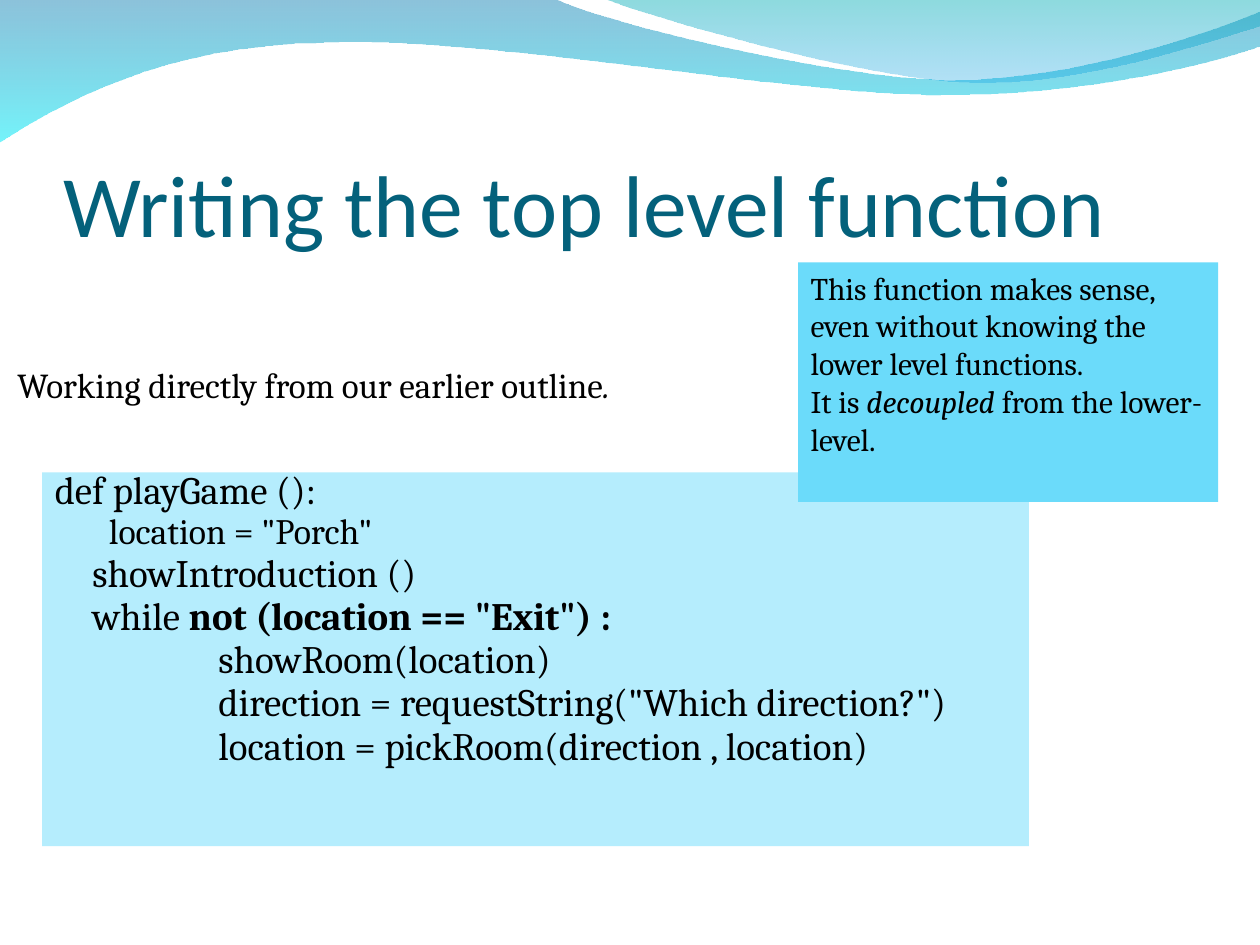
from lxml.etree import SubElement
from pptx import Presentation
from pptx.dml.color import RGBColor
from pptx.enum.shapes import MSO_SHAPE
from pptx.enum.text import MSO_ANCHOR, MSO_AUTO_SIZE, PP_ALIGN
from pptx.oxml.ns import qn
from pptx.util import Cm, Pt

COLORS = {
    "title": "04617B",
    "text": "000000",
    "code": "B5EDFD",
    "callout": "6BDBFA",
    "wave_top": "0079AF",
    "wave_bottom": "00EBF8",
    "crest_top": "00ADB6",
    "crest_bottom": "009BE5",
}
BODY_FONT = "Cambria"

# Wave outlines in cm: a segment is one line end or three Bezier points
WAVE = [
    [(11.18, -0.03)],
    [(12.09, 0.43), (16.87, 1.6), (19.25, 1.6)],
    [(21.67, 1.6), (24.33, 0.66), (25.4, 0.23)],
    [(25.43, 0.91)],
    [(24.97, 1.12), (22.1, 1.93), (18.95, 1.91)],
    [(15.8, 1.91), (9.7, 0.71), (6.53, 0.86)],
    [(3.28, 0.89), (1.17, 2.11), (-0.03, 2.87)],
]
CREST = [
    [(12.93, 0.28), (17.32, 1.57), (19.53, 1.65)],
    [(21.74, 1.75), (24.41, 0.81), (25.4, 0.53)],
    [(25.4, 0)],
]

# Each line of code is a list of (text, bold) runs
CODE_LINES = [
    [("def playGame ():", False)],
    [('location = "Porch"', False)],
    [("\tshowIntroduction ()", False)],
    [("\twhile ", False), ('not (location == "Exit") :', True)],
    [("\t\tshowRoom(location)", False)],
    [('\t\tdirection = requestString("Which direction?")', False)],
    [("\t\tlocation = pickRoom(direction , location)", False)],
]
INDENTED_LINE = 1


def color(name):
    return RGBColor.from_string(COLORS[name])


def place(shape, left, top, width, height):
    shape.left, shape.top = Cm(left), Cm(top)
    shape.width, shape.height = Cm(width), Cm(height)


def format_run(run, size, font=BODY_FONT, fill="text", bold=False, italic=False):
    run.font.name = font
    run.font.size = Pt(size)
    run.font.color.rgb = color(fill)
    run.font.bold = bold
    run.font.italic = italic


def bend_segments(shape, segments):
    """Join the three lines of each Bezier segment into one curve."""
    lines = iter(list(shape.element.spPr.iter(qn("a:lnTo"))))
    for segment in segments:
        first, *others = [next(lines) for point in segment]
        if others:
            first.tag = qn("a:cubicBezTo")
            for line in others:
                first.append(line[0])
                line.getparent().remove(line)


def add_wave(slide, start, segments, stops):
    """Add a curved outline with a vertical gradient of (color, opacity) stops."""
    builder = slide.shapes.build_freeform(Cm(start[0]), Cm(start[1]))
    builder.add_line_segments(
        [(Cm(x), Cm(y)) for segment in segments for x, y in segment], close=True)
    shape = builder.convert_to_shape()
    bend_segments(shape, segments)
    shape.shadow.inherit = False
    shape.line.fill.background()
    shape.fill.gradient()
    shape.fill.gradient_angle = 270
    for stop, (name, opacity) in zip(shape.fill.gradient_stops, stops):
        stop.color.rgb = color(name)
    for element, (name, opacity) in zip(shape.element.spPr.iter(qn("a:srgbClr")), stops):
        SubElement(element, qn("a:alpha"), val=str(opacity * 1000))


def add_title(slide, text):
    title = slide.shapes.title
    place(title, 1.27, 1.96, 22.86, 3.18)
    frame = title.text_frame
    frame.text = text
    frame.auto_size = MSO_AUTO_SIZE.NONE
    frame.vertical_anchor = MSO_ANCHOR.BOTTOM
    frame.margin_left = frame.margin_right = frame.margin_bottom = 0
    frame.paragraphs[0].alignment = PP_ALIGN.LEFT
    format_run(frame.paragraphs[0].runs[0], 50, "Calibri", "title")


def set_code_layout(paragraph, left, hanging):
    properties = paragraph._p.get_or_add_pPr()
    properties.set("marL", str(Cm(left)))
    properties.set("indent", str(-Cm(hanging)))
    properties.set("defTabSz", str(Cm(2.54)))
    SubElement(properties, qn("a:buNone"))
    tabs = SubElement(properties, qn("a:tabLst"))
    for number in range(8):
        SubElement(tabs, qn("a:tab"), pos=str(Cm(2.54 * number)), algn="l")
    paragraph.line_spacing = 0.7


def add_code(slide):
    body = slide.placeholders[1]
    place(body, 0.85, 9.52, 19.89, 7.54)
    body.fill.solid()
    body.fill.fore_color.rgb = color("code")
    frame = body.text_frame
    frame.text = "\n".join("".join(text for text, bold in line) for line in CODE_LINES)
    frame.auto_size = MSO_AUTO_SIZE.NONE
    frame.vertical_anchor = MSO_ANCHOR.TOP
    for number, (paragraph, line) in enumerate(zip(frame.paragraphs, CODE_LINES)):
        indented = number == INDENTED_LINE
        paragraph.level = 1 if indented else 0
        set_code_layout(paragraph, *((1.78, 0.69) if indented else (0.76, 0.76)))
        paragraph.space_before = Pt(0 if number == 0 else 5.5 if indented else 6)
        paragraph.text = ""
        for text, bold in line:
            run = paragraph.add_run()
            run.text = text
            format_run(run, 20.4 if indented else 22.2, bold=bold)


def write_runs(paragraph, runs, size):
    """Write (text, italic) runs into a left-aligned paragraph."""
    paragraph.alignment = PP_ALIGN.LEFT
    for text, italic in runs:
        run = paragraph.add_run()
        run.text = text
        format_run(run, size, italic=italic)


def add_remark(slide):
    box = slide.shapes.add_textbox(Cm(0.1), Cm(7.2), Cm(14.66), Cm(1.12))
    box.text_frame.word_wrap = False
    write_runs(box.text_frame.paragraphs[0],
               [("Working directly from our earlier outline", False), (".", True)], 20)


def add_callout(slide):
    shape = slide.shapes.add_shape(MSO_SHAPE.RECTANGLE, Cm(16.09), Cm(5.29), Cm(8.47), Cm(4.83))
    shape.shadow.inherit = False
    shape.fill.solid()
    shape.fill.fore_color.rgb = color("callout")
    shape.line.fill.background()
    frame = shape.text_frame
    frame.word_wrap = True
    frame.vertical_anchor = MSO_ANCHOR.TOP
    write_runs(frame.paragraphs[0], [
        ("This function makes sense, even without knowing the lower level functions.", False)], 18)
    write_runs(frame.add_paragraph(), [
        ("It is ", False), ("decoupled", True), (" from the lower-level.", False)], 18)


def main():
    presentation = Presentation()
    presentation.slide_width, presentation.slide_height = Cm(25.4), Cm(19.05)
    slide = presentation.slides.add_slide(presentation.slide_layouts[1])

    # Decoration at the top
    add_wave(slide, (0, -0.03), WAVE, [("wave_top", 45), ("wave_bottom", 55)])
    add_wave(slide, (12.17, -0.03), CREST, [("crest_top", 45), ("crest_bottom", 30)])

    # Content
    add_title(slide, "Writing the top level function")
    add_code(slide)
    add_remark(slide)
    add_callout(slide)

    presentation.save("out.pptx")


if __name__ == "__main__":
    main()
